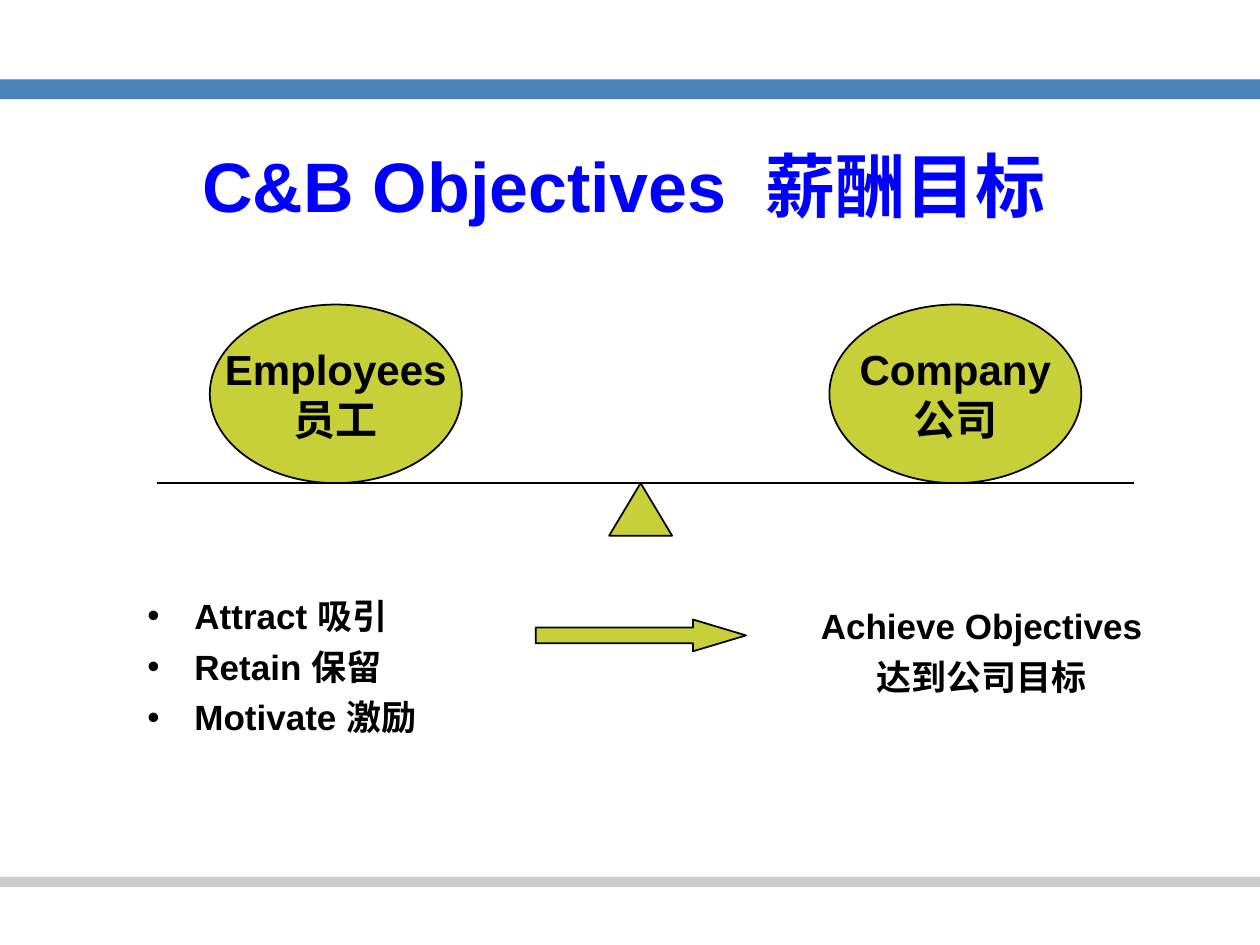
"""Build the C&B objectives slide with a balance of employees and company."""
from lxml.etree import SubElement
from pptx import Presentation
from pptx.dml.color import RGBColor
from pptx.enum.shapes import MSO_CONNECTOR, MSO_SHAPE
from pptx.enum.text import MSO_ANCHOR, PP_ALIGN
from pptx.oxml.ns import qn
from pptx.util import Cm, Pt

BLACK = "000000"
LIME = "C7D039"


def color(hex_string):
    return RGBColor.from_string(hex_string)


def write(shape, text, size, font_color=BLACK, align=PP_ALIGN.CENTER, gap=0, bullet=False):
    shape.text_frame.text = text
    for index, paragraph in enumerate(shape.text_frame.paragraphs):
        paragraph.alignment = align
        paragraph.space_before = Pt(gap if index else 0)
        if bullet:
            properties = paragraph._p.get_or_add_pPr()
            properties.set("marL", str(Cm(0.95)))
            properties.set("indent", str(-Cm(0.95)))
            SubElement(properties, qn("a:buFont"), typeface="Arial")
            SubElement(properties, qn("a:buChar"), char="•")
        for run in paragraph.runs:
            run.font.name = "Arial"
            run.font.size = Pt(size)
            run.font.bold = True
            run.font.color.rgb = color(font_color)


presentation = Presentation()
presentation.slide_width = Cm(25.4)
presentation.slide_height = Cm(19.05)
slide = presentation.slides.add_slide(presentation.slide_layouts[6])

for top, height, fill in [(1.6, 0.4, "4C82BA"), (17.68, 0.2, "CCCCCC")]:
    band = slide.shapes.add_shape(MSO_SHAPE.RECTANGLE, 0, Cm(top), presentation.slide_width, Cm(height))
    band.shadow.inherit = False
    band.fill.solid()
    band.fill.fore_color.rgb = color(fill)
    band.line.fill.background()

title = slide.shapes.add_textbox(Cm(1.9), Cm(2.74), Cm(21.6), Cm(1.96))
title.text_frame.word_wrap = True
title.text_frame.margin_left = 0
write(title, "C&B Objectives  薪酬目标", 40, "0000FF")

goals = slide.shapes.add_textbox(Cm(2.97), Cm(11.86), Cm(8.23), Cm(3.15))
goals.text_frame.word_wrap = True
goals.text_frame.margin_left = 0
write(goals, "Attract 吸引\nRetain 保留\nMotivate 激励", 20, align=PP_ALIGN.LEFT, gap=5, bullet=True)

result = slide.shapes.add_textbox(Cm(15.45), Cm(12.07), Cm(8.68), Cm(2.34))
result.text_frame.word_wrap = True
write(result, "Achieve Objectives\n达到公司目标", 20, gap=5)

beam = slide.shapes.add_connector(MSO_CONNECTOR.STRAIGHT, Cm(3.17), Cm(9.74), Cm(22.87), Cm(9.74))
beam.line.color.rgb = color(BLACK)
beam.line.width = Pt(1)
SubElement(beam._element.spPr, qn("a:effectLst"))

for kind, left, top, width, height, label in [
    (MSO_SHAPE.RIGHT_ARROW, 10.8, 12.49, 4.24, 0.64, ""),
    (MSO_SHAPE.OVAL, 4.23, 6.14, 5.08, 3.6, "Employees\n员工"),
    (MSO_SHAPE.OVAL, 16.72, 6.14, 5.08, 3.6, "Company\n公司"),
    (MSO_SHAPE.ISOSCELES_TRIANGLE, 12.28, 9.74, 1.27, 1.06, ""),
]:
    shape = slide.shapes.add_shape(kind, Cm(left), Cm(top), Cm(width), Cm(height))
    shape.shadow.inherit = False
    shape.fill.solid()
    shape.fill.fore_color.rgb = color(LIME)
    shape.line.color.rgb = color(BLACK)
    shape.line.width = Pt(1)
    if kind == MSO_SHAPE.RIGHT_ARROW:
        shape.adjustments[1] = 1.67
    if label:
        shape.text_frame.word_wrap = False
        shape.text_frame.vertical_anchor = MSO_ANCHOR.MIDDLE
        write(shape, label, 24)

presentation.save("out.pptx")
